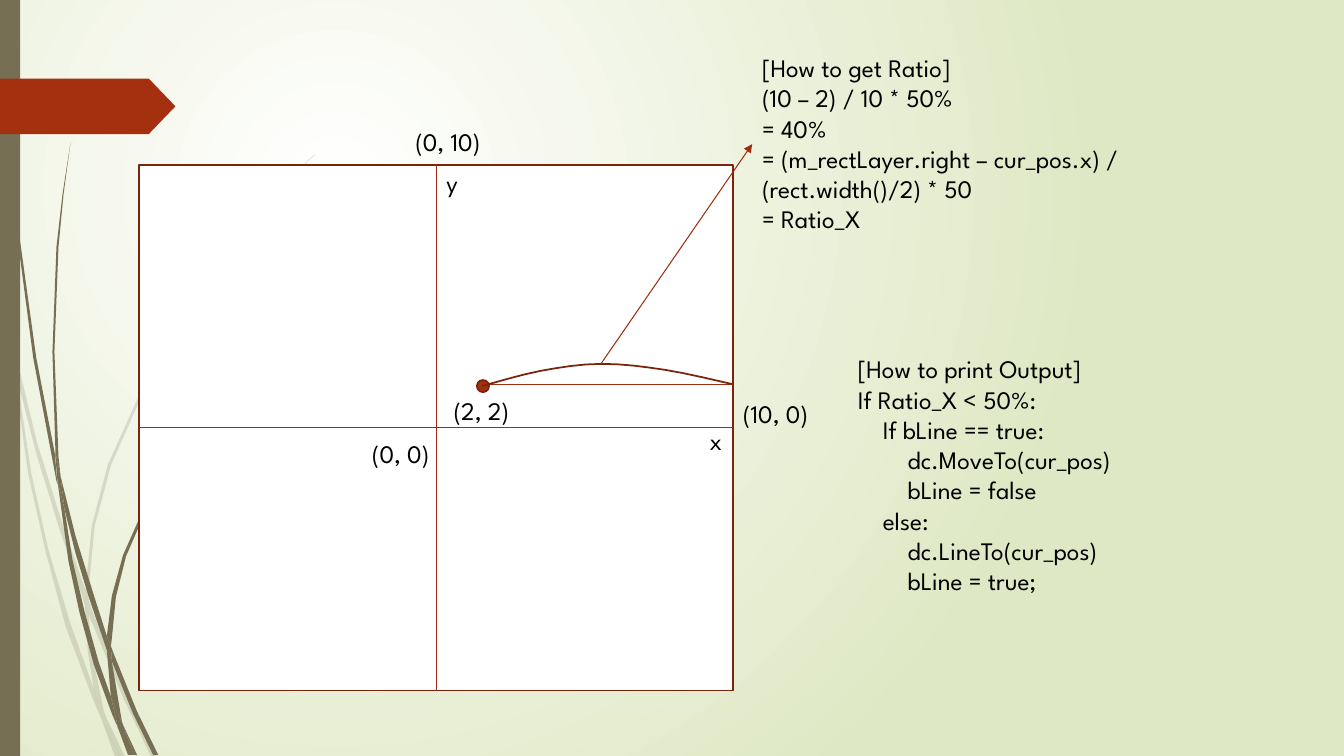
from lxml import etree
from pptx import Presentation
from pptx.dml.color import RGBColor
from pptx.enum import shapes, text
from pptx.oxml.ns import qn
from pptx.util import Inches, Pt

COLORS = {
    "paper": "FFFFFF", "sage": "DFE8C4", "stem": "766F54", "red": "A53010",
    "edge": "7A240C", "axis": "9E2E0F", "ink": "000000",
}
FONT = {"name": "League Spartan", "size": Pt(18)}
FRAME = {"word_wrap": False, "auto_size": text.MSO_AUTO_SIZE.SHAPE_TO_FIT_TEXT}

PALE_BLADES = [
    [(.11, 3.5), (.09, 3.22), (0, 2.82), (0, 2.99), (.1, 3.44)],
    [(.58, 5.22), (.84, 5.99), (.85, 5.86), (.62, 5.2), (.37, 4.4), (.14, 3.45), (.17, 3.76), (.36, 4.5)],
    [(.92, 6.07), (.88, 5.96), (.88, 6.1), (1.23, 6.94), (1.5, 7.51), (1.55, 7.51), (1.27, 6.92)],
    [(1.19, 7.51), (1.24, 7.51), (1.05, 7.11)],
    [(.93, 6.83), (.7, 6.19), (.48, 5.45), (.31, 4.69), (.17, 3.76), (.11, 3.5), (.28, 4.7),
     (.45, 5.46), (.65, 6.21), (.92, 6.93), (1.01, 7.14), (.99, 7.07)],
    [(.84, 5.99), (.87, 6.46), (.93, 6.83), (.96, 6.92), (1.05, 7.11), (1.03, 7.06), (.91, 6.46),
     (.88, 6.1), (.88, 6.08)],
    [(.88, 5.84), (.94, 5.22), (1.1, 4.62), (1.6, 3.49), (2.29, 2.45), (2.68, 1.98), (2.9, 1.75),
     (3.12, 1.54), (3.12, 1.53), (2.89, 1.75), (2.68, 1.97), (2.28, 2.44), (1.58, 3.48),
     (1.07, 4.61), (.91, 5.22), (.85, 5.84), (.85, 5.86), (.88, 5.96)],
    [(1.01, 7.14), (1.14, 7.51), (1.19, 7.51)],
    [(.88, 6.08), (.88, 6.1), (.88, 5.96), (.85, 5.86), (.84, 5.99)],
    [(.96, 6.92), (.93, 6.83), (.99, 7.07), (1.01, 7.14), (1.19, 7.51), (1.05, 7.11)],
]
DARK_BLADES = [
    [(.07, 1.1), (.17, 2.33), (.33, 3.55), (.56, 4.77), (.57, 4.81), (.55, 4.57), (.55, 4.53),
     (.36, 3.55), (.19, 2.32), (.08, 1.09), (.05, .48), (.04, 0), (.03, 0), (.04, .48)],
    [(.88, 5.92), (1.06, 6.45), (1.06, 6.33), (1.06, 6.31), (.93, 5.9), (.75, 5.32), (.6, 4.72),
     (.64, 5.05), (.75, 5.49)],
    [(1.13, 6.49), (1.1, 6.41), (1.11, 6.56), (1.32, 7.08), (1.52, 7.49), (1.57, 7.49), (1.36, 7.06)],
    [(1.1, 6.91), (.98, 6.57), (.84, 6.07), (.72, 5.56), (.64, 5.05), (.57, 4.77), (.68, 5.57),
     (.79, 6.08), (.93, 6.59), (1.11, 7.08), (1.17, 7.22), (1.16, 7.17)],
    [(.6, 4.72), (.58, 4.53), (.54, 3.49), (.58, 2.45), (.63, 1.93), (.7, 1.41), (.62, 1.93),
     (.56, 2.45), (.52, 3.49), (.55, 4.49)],
    [(1.33, 7.49), (1.36, 7.49), (1.22, 7.19)],
    [(.57, 4.77), (.64, 5.05), (.6, 4.72), (.55, 4.49), (.55, 4.53)],
    [(1.11, 6.33), (1.15, 5.92), (1.25, 5.52), (1.58, 4.76), (2.05, 4.06), (2.31, 3.74),
     (2.45, 3.59), (2.61, 3.44), (2.6, 3.44), (2.45, 3.58), (2.31, 3.73), (2.04, 4.05),
     (1.56, 4.74), (1.22, 5.51), (1.11, 5.91), (1.06, 6.31), (1.1, 6.41)],
    [(1.17, 7.22), (1.27, 7.49), (1.31, 7.49)],
    [(1.06, 6.45), (1.1, 6.91), (1.16, 7.06), (1.22, 7.19), (1.21, 7.16), (1.11, 6.56), (1.09, 6.51)],
    [(1.06, 6.45), (1.09, 6.51), (1.11, 6.56), (1.1, 6.41), (1.06, 6.31), (1.06, 6.33)],
    [(1.16, 7.06), (1.1, 6.91), (1.16, 7.17), (1.17, 7.22), (1.3, 7.49), (1.33, 7.49), (1.22, 7.19)],
]
RATIO_ARC = [(7.26, 3.81), (6.6, 3.67), (5.96, 3.61), (5.36, 3.68), (4.78, 3.83)]
LABELS = [
    ("y", 4.33, 1.61, .34, .4), ("x", 6.94, 4.17, .32, .4), ("(2, 2)", 4.4, 3.87, .81, .4),
    ("(10, 0)", 7.27, 3.9, .95, .4), ("(0, 10)", 4.02, 1.2, .95, .4), ("(0, 0)", 3.59, 4.3, .81, .4),
]
RATIO_NOTE = """[How to get Ratio]
(10 – 2) / 10 * 50%
= 40%
= (m_rectLayer.right – cur_pos.x) /
(rect.width()/2) * 50
= Ratio_X"""
OUTPUT_NOTE = """[How to print Output]
If Ratio_X < 50%:
    If bLine == true:
        dc.MoveTo(cur_pos)
        bLine = false
    else:
        dc.LineTo(cur_pos)
        bLine = true;"""


def color(name):
    return RGBColor.from_string(COLORS[name])


def apply(target, values):
    for name, value in values.items():
        setattr(target, name, value)


def smooth(points, steps=4):
    padded = [points[0], *points, points[-1]]
    curve = []
    for a, b, c, d in zip(padded, padded[1:], padded[2:], padded[3:]):
        for step in range(steps):
            t = step / steps
            curve.append(tuple(
                q + t * (r - p) / 2 + t ** 2 * (p - 2.5 * q + 2 * r - s / 2)
                + t ** 3 * (1.5 * (q - r) + (s - p) / 2)
                for p, q, r, s in zip(a, b, c, d)))
    return curve + [points[-1]]


class Sketch:
    def __init__(self, page):
        self.page = page

    def background(self, inner, outer):
        fill = self.page.background.fill
        fill.gradient()
        for stop, name in zip(fill.gradient_stops, (inner, outer)):
            stop.color.rgb = color(name)
        gradient = self.page.element.find(".//" + qn("a:gradFill"))
        gradient.remove(gradient.find(qn("a:lin")))
        circle = etree.SubElement(gradient, qn("a:path"), path="circle")
        etree.SubElement(circle, qn("a:fillToRect"), l="50000", t="50000", r="100000", b="100000")

    def paint(self, shape, fill=None, line=None):
        shape.shadow.inherit = False
        if fill:
            shape.fill.solid()
            shape.fill.fore_color.rgb = color(fill)
        else:
            shape.fill.background()
        if line:
            shape.line.color.rgb = color(line)
            shape.line.width = Pt(1.25)
        else:
            shape.line.fill.background()
        return shape

    def shape(self, kind, bounds, fill, line=None):
        return self.paint(self.page.shapes.add_shape(kind, *map(Inches, bounds)), fill, line)

    def outline(self, points, close, fill=None, line=None):
        places = [(Inches(x), Inches(y)) for x, y in points]
        builder = self.page.shapes.build_freeform(*places[0])
        builder.add_line_segments(places[1:], close=close)
        return self.paint(builder.convert_to_shape(), fill, line)

    def blade(self, points, opacity):
        blade = self.outline(points, True, "stem")
        if opacity < 100:
            tint = blade.element.spPr.find(qn("a:solidFill"))[0]
            etree.SubElement(tint, qn("a:alpha"), val=str(opacity * 1000))

    def line(self, start, end, arrow=False):
        connector = self.page.shapes.add_connector(
            shapes.MSO_CONNECTOR.STRAIGHT, *map(Inches, start + end))
        connector.line.color.rgb = color("axis")
        connector.line.width = Pt(.75)
        properties = connector.element.spPr
        if arrow:
            etree.SubElement(properties.find(qn("a:ln")), qn("a:tailEnd"), type="triangle")
        etree.SubElement(properties, qn("a:effectLst"))
        return connector

    def label(self, words, *bounds):
        box = self.page.shapes.add_textbox(*map(Inches, bounds))
        apply(box.text_frame, FRAME)
        box.text_frame.text = words
        for para in box.text_frame.paragraphs:
            for span in para.runs:
                apply(span.font, FONT)
                span.font.color.rgb = color("ink")


def main():
    deck = Presentation()
    apply(deck, {"slide_width": Inches(13.33), "slide_height": Inches(7.5)})
    sketch = Sketch(deck.slides.add_slide(deck.slide_layouts[6]))
    preset = shapes.MSO_SHAPE

    sketch.background("paper", "sage")
    for blades, opacity in ((PALE_BLADES, 20), (DARK_BLADES, 100)):
        for points in blades:
            sketch.blade(points, opacity)
    sketch.shape(preset.RECTANGLE, (0, 0, .2, 7.5), "stem")
    tag = sketch.shape(preset.PENTAGON, (0, .78, 1.74, .55), "red")
    tag.adjustments[0] = .48

    plane = sketch.shape(preset.RECTANGLE, (1.38, 1.64, 5.89, 5.21), "paper", "edge")
    for start, end, first, last in (
            ((4.33, 1.64), (4.33, 6.85), 0, 2), ((7.27, 4.25), (1.38, 4.25), 3, 1)):
        axis = sketch.line(start, end)
        axis.begin_connect(plane, first)
        axis.end_connect(plane, last)

    sketch.shape(preset.OVAL, (4.73, 3.77, .12, .12), "red", "edge")
    sketch.line((7.27, 3.81), (4.79, 3.81))
    sketch.outline(smooth(RATIO_ARC), False, line="edge")
    sketch.line((5.96, 3.61), (7.46, 1.43), arrow=True)

    for label in LABELS:
        sketch.label(*label)
    sketch.label(RATIO_NOTE, 7.46, .47, 4.4, 1.92)
    sketch.label(OUTPUT_NOTE, 8.41, 3.46, 3.28, 2.52)
    deck.save("out.pptx")


if __name__ == "__main__":
    main()
